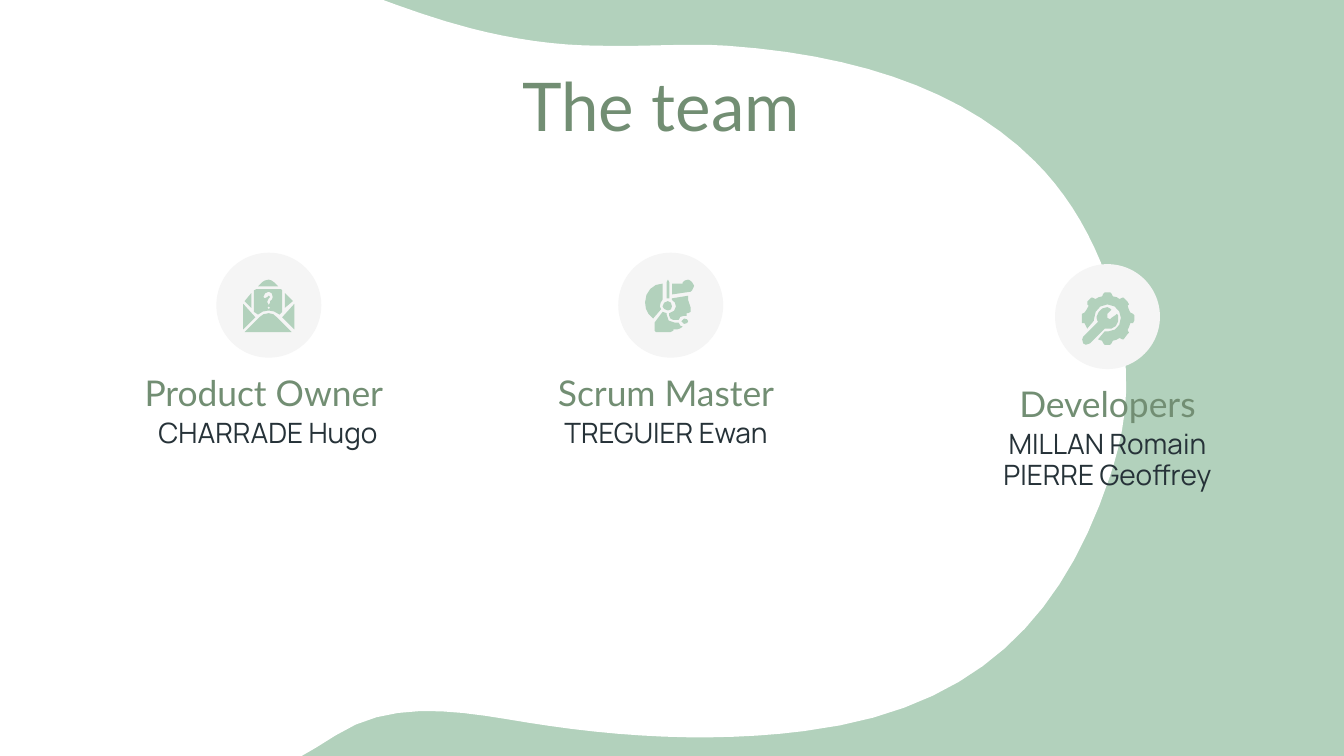
from math import dist, sqrt

from pptx import Presentation
from pptx.dml.color import RGBColor
from pptx.enum.shapes import MSO_SHAPE
from pptx.enum.text import MSO_ANCHOR, PP_ALIGN
from pptx.util import Pt

OVAL = MSO_SHAPE.OVAL
CENTER = PP_ALIGN.CENTER
TOP, MIDDLE = MSO_ANCHOR.TOP, MSO_ANCHOR.MIDDLE

COLORS = {"mint": "B2D1BC", "white": "FFFFFF", "disc": "F5F5F5",
          "green": "728E73", "ink": "263238"}
UNIT = 0.72  # points per unit of the outlines below
DISC = 56.2
CARD_W = 190.8

BLOB = """M -40 552 C -20 573 10 589 54 599 C 122 615 193 584 250 547 C 298 516 358 533 408 540
C 470 549 535 552 598 544 C 728 528 791 459 826 354 C 836 323 850 272 819 195
C 807 166 791 141 770 120 C 718 68 640 41 541 34 C 510 32 478 35 447 34
C 414 34 381 29 350 21 C 276 2 207 -38 131 -42 C 91 -44 50 -35 13 -17
C -32 5 -62 49 -63 99 C -64 147 -45 169 -32 204 C -17 247 -7 278 -30 318
C -60 368 -108 483 -40 552 Z"""

ENVELOPE = [
    """M 39 29 C 41 29 42 31 42 33 C 42 34 41 36 40 36 L 40 37 C 40 38 39 39 39 39
    C 38 39 38 38 38 37 L 38 36 C 38 35 38 34 39 34 C 40 34 40 33 40 33 C 40 32 39 32 39 32
    C 38 32 38 32 38 33 C 38 34 37 34 36 34 C 36 34 35 34 35 33 C 35 31 37 29 39 29 Z
    M 39 40 L 40 41 L 39 42 L 38 41 Z
    M 30 27 L 28 28 L 28 44 L 31 46 C 33 44 36 43 39 43 C 42 43 44 44 47 46
    L 49 44 L 49 28 L 48 27 Z""",
    "M 58 38 L 49 48 L 58 57 Z",
    "M 39 45 C 36 45 34 46 32 48 L 21 59 L 56 59 L 45 48 C 44 46 41 45 39 45 Z",
    "M 26 30 L 21 36 L 26 41 Z",
    "M 51 30 L 51 41 L 57 36 Z",
    "M 39 20 C 37 20 35 21 34 22 L 31 25 L 46 25 L 43 22 C 42 21 40 20 39 20 Z",
    "M 20 38 L 20 57 L 29 48 Z",
]
HEADSET = [
    "M 49 49 C 48 49 47 50 47 51 C 47 52 48 53 49 53 C 51 53 52 52 52 51 C 52 50 51 49 49 49 Z",
    "M 37 20 L 36 22 L 36 34 L 38 34 L 38 22 Z",
    "M 37 36 C 35 36 33 38 33 40 C 33 41 35 43 37 43 C 39 43 40 42 40 40 C 40 38 39 36 37 36 Z",
    """M 33 44 L 27 52 L 27 58 L 28 59 L 39 59 L 41 58 L 41 57 L 44 57
    C 45 57 47 56 48 55 C 47 55 45 54 45 52 L 42 52 C 38 52 36 50 36 46 L 36 45 Z""",
    """M 52 32 L 40 34 L 40 35 C 42 36 43 38 43 40 C 43 42 41 45 38 45 L 38 47
    C 38 48 39 50 41 50 L 45 50 C 45 48 47 47 49 47 L 51 47 L 51 45 L 52 45
    C 53 45 54 45 54 44 C 55 43 55 42 54 41 L 52 35 Z""",
    """M 52 20 C 50 20 49 21 48 22 L 48 23 L 40 23 L 40 31 L 54 29 L 55 28
    C 57 26 57 23 55 22 C 54 21 53 20 52 20 Z""",
    """M 33 23 C 26 23 20 29 20 37 C 20 42 22 46 26 49 L 32 42 L 31 40
    C 31 38 32 36 33 35 Z""",
]
GEAR = [
    """M 37 21 L 36 22 L 35 24 C 33 24 32 25 30 26 L 28 25 L 27 25 L 24 28 L 24 30
    L 25 31 C 24 33 23 35 22 36 L 20 37 L 20 44 L 22 44 C 23 45 23 47 24 48 L 29 42
    L 29 41 C 29 35 33 30 39 30 C 45 30 49 35 49 40 C 49 46 45 50 40 50 L 37 50 L 32 56
    L 35 57 L 36 59 L 37 60 L 41 60 L 42 59 L 43 57 C 45 57 46 56 48 55 L 50 56 L 51 56
    L 54 52 L 55 51 L 54 49 C 55 48 55 46 56 44 L 58 44 L 59 42 L 59 38 L 58 37 L 56 36
    C 55 35 55 33 54 31 L 55 30 L 54 28 L 51 25 L 50 25 L 48 26 C 47 25 45 24 43 24
    L 42 22 L 41 21 Z""",
    """M 39 32 C 35 32 32 35 31 39 C 31 40 31 42 32 43 L 21 54 C 20 55 20 57 21 59
    L 23 60 L 26 59 L 37 48 L 42 48 C 46 47 48 43 47 38 L 46 37 L 45 38 L 42 40 L 41 41
    L 39 40 C 38 39 38 38 39 37 L 42 34 L 41 33 Z""",
]

# card left, disc left, top, icon, role, names, height of the names box
CARDS = [
    (48.2, 115.9, 135.4, ENVELOPE, "Product Owner ", ["CHARRADE Hugo"], 39.6),
    (261.4, 331.2, 135.4, HEADSET, "Scrum Master", ["TREGUIER Ewan"], 39.6),
    (497.9, 565.2, 141.5, GEAR, "Developers", ["MILLAN Romain", "PIERRE Geoffrey"], 56.2),
]


def rgb(name):
    """Return the named colour."""
    return RGBColor.from_string(COLORS[name])


def paint(sp, color):
    """Give a shape a plain fill without line or shadow."""
    sp.fill.solid()
    sp.fill.fore_color.rgb = rgb(color)
    sp.line.fill.background()
    sp.shadow.inherit = False


def bezier(a, b, c, d):
    """Return points along a cubic curve, more of them on a longer one."""
    steps = max(1, round(sqrt(dist(a, d) / 1.5)))
    pts = []
    for i in range(1, steps + 1):
        t = i / steps
        u = 1 - t
        weights = (u ** 3, 3 * u * u * t, 3 * u * t * t, t ** 3)
        pts.append(tuple(sum(w * p[k] for w, p in zip(weights, (a, b, c, d))) for k in (0, 1)))
    return pts


def contours(outline):
    """Turn an outline of M, L, C and Z commands into lists of points."""
    tokens = iter(outline.split())

    def point():
        """Read the next two numbers."""
        return float(next(tokens)), float(next(tokens))

    result = []
    for command in tokens:
        if command == "M":
            result.append([point()])
        elif command == "L":
            result[-1].append(point())
        elif command == "C":
            result[-1] += bezier(result[-1][-1], point(), point(), point())
    return result


def add_outline(s, outline, left, top, color):
    """Draw an outline whose origin lies at left, top."""
    builder = None
    for contour in contours(outline):
        pts = [(Pt(left + x * UNIT), Pt(top + y * UNIT)) for x, y in contour]
        if builder is None:
            builder = s.shapes.build_freeform(*pts[0])
        else:
            builder.move_to(*pts[0])
        builder.add_line_segments(pts[1:], close=True)
    paint(builder.convert_to_shape(), color)


def add_text(s, lines, left, top, width, height, *, size, font, color, anchor=TOP, spacing=1.0):
    """Place centred text, one paragraph for each line."""
    tf = s.shapes.add_textbox(Pt(left), Pt(top), Pt(width), Pt(height)).text_frame
    tf.word_wrap = True
    tf.vertical_anchor = anchor
    tf.margin_left = tf.margin_right = tf.margin_top = tf.margin_bottom = Pt(7.2)
    for i, line in enumerate(lines):
        p = tf.paragraphs[0] if i == 0 else tf.add_paragraph()
        p.alignment = CENTER
        p.line_spacing = spacing
        r = p.add_run()
        r.text = line
        r.font.size = Pt(size)
        r.font.name = font
        r.font.color.rgb = rgb(color)


def add_card(s, left, disc_left, top, icon, role, names, names_height):
    """Place one role: icon disc, role title and names below."""
    sp = s.shapes.add_shape(OVAL, Pt(disc_left), Pt(top), Pt(DISC), Pt(DISC))
    paint(sp, "disc")
    for outline in icon:
        add_outline(s, outline, disc_left, top, "mint")
    add_text(s, [role], left, top + 56, CARD_W, 33.1, size=19, font="Lato", color="green")
    add_text(s, names, left, top + 82, CARD_W, names_height,
             size=15, font="Manrope", color="ink", spacing=0.9)


def build_team_slide(prs):
    """Build the team slide."""
    s = prs.slides.add_slide(prs.slide_layouts[6])
    s.background.fill.solid()
    s.background.fill.fore_color.rgb = rgb("mint")
    add_outline(s, BLOB, 0, 0, "white")
    add_text(s, ["The team"], 48.2, 33.1, 612, 45.4,
             size=36, font="Lato", color="green", anchor=MIDDLE)
    for card in CARDS:
        add_card(s, *card)


prs = Presentation()
prs.slide_width, prs.slide_height = Pt(720), Pt(405)
build_team_slide(prs)
prs.save("out.pptx")
